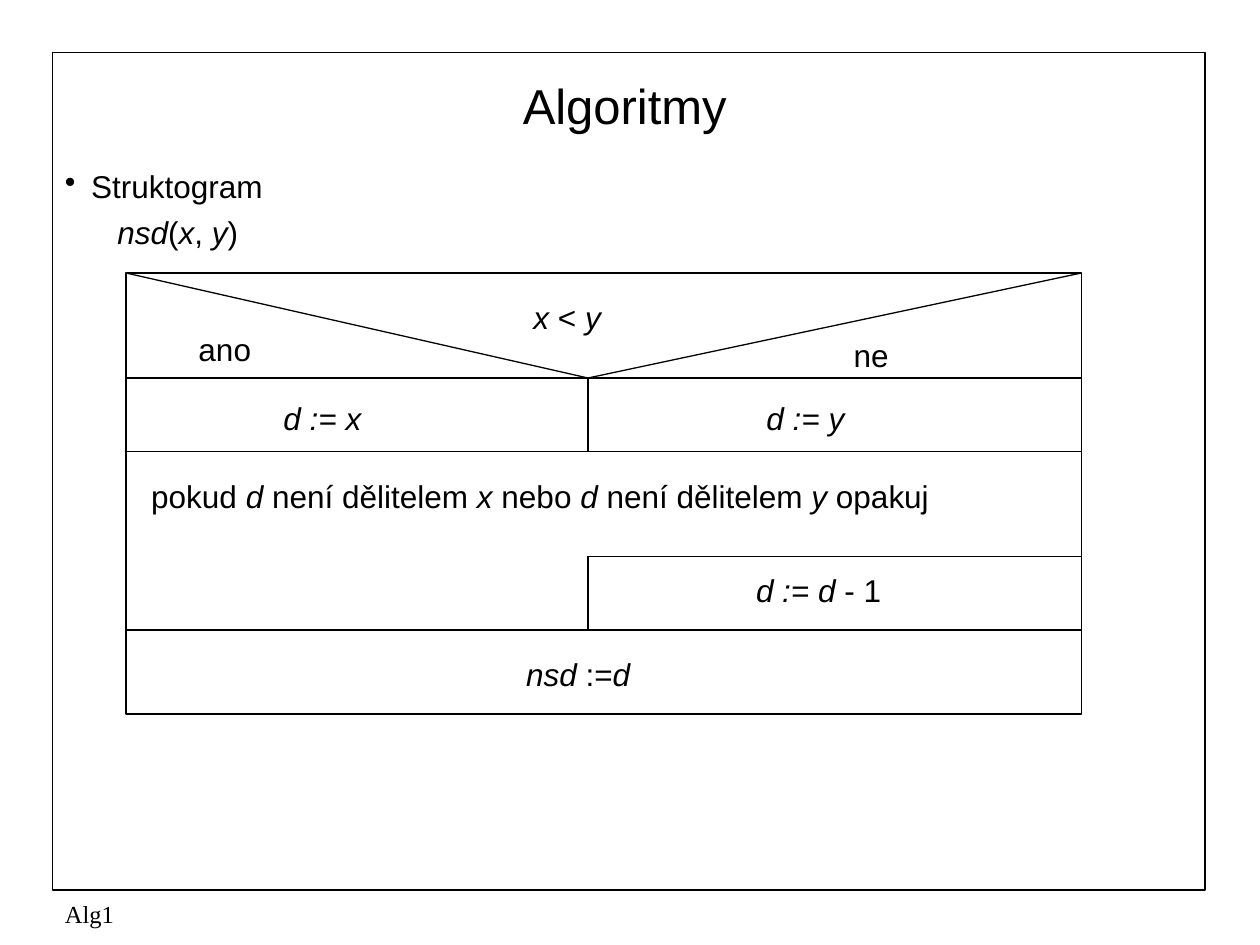
"""Builds the slide with a structogram of the greatest common divisor."""
import pptx
import pptx.dml.color
import pptx.enum.shapes
import pptx.enum.text
import pptx.oxml
import pptx.oxml.ns
import pptx.util

PX = 7620
ANCHOR = pptx.enum.text.MSO_ANCHOR
THEME = {
    "ink": pptx.dml.color.RGBColor(0, 0, 0),
    "font": "Arial", "footer_font": "Times New Roman",
    "title": 28, "body": 18, "footer": 14,
    "border": 1, "line": 0.75,
}

SLIDE = (1200, 900)
BORDER = (50, 50, 1098, 798)
TITLE = ("Algoritmy", (60, 60, 1070, 80))
BODY = (50, 150, 1100, 700)
BULLETS = [
    ("Struktogram", 25, -25),
    ("*nsd*(*x*, *y*)", 50, 0),
]
FOOTER = ("Alg1", (50, 850, 380, 40))

LEFT, MID, RIGHT = 120, 560, 1030
TOP, BRANCH, LOOP, STEP, RESULT, BOTTOM = 260, 360, 430, 530, 600, 680
LINES = [
    (LEFT, BRANCH, RIGHT, BRANCH),
    (LEFT, LOOP, RIGHT, LOOP),
    (LEFT, RESULT, RIGHT, RESULT),
    (MID, BRANCH, MID, LOOP),
    (MID, STEP, MID, RESULT),
    (MID, STEP, RIGHT, STEP),
    (LEFT, TOP, MID, BRANCH),
    (MID, BRANCH, RIGHT, TOP),
]
LABEL_HEIGHT = 36
LABELS = [
    ("*x *< *y*", 492, 284, 133),
    ("ano", 173, 314, 119),
    ("ne", 797, 320, 102),
    ("*d := x*", 254, 380, 151),
    ("*d := y*", 714, 380, 151),
    ("pokud *d *není dělitelem *x *nebo *d *není dělitelem *y *opakuj", 128, 454, 817),
    ("*d := d *- 1", 704, 544, 196),
    ("*nsd *:=*d*", 485, 624, 185),
]


def emu(*values):
    return [v * PX for v in values]


def write(p, marked, size="body", font="font"):
    for i, part in enumerate(marked.split("*")):
        if part:
            r = p.add_run()
            r.text = part
            r.font.name = THEME[font]
            r.font.size = pptx.util.Pt(THEME[size])
            r.font.italic = i % 2 == 1
            r.font.color.rgb = THEME["ink"]


def text_box(s, box, margins=(12, 6, 12, 6), anchor=ANCHOR.TOP):
    tf = s.shapes.add_textbox(*emu(*box)).text_frame
    tf.word_wrap = True
    tf.vertical_anchor = anchor
    tf.margin_left, tf.margin_top, tf.margin_right, tf.margin_bottom = emu(*margins)
    return tf


def frame(s, box, width):
    sp = s.shapes.add_shape(pptx.enum.shapes.MSO_SHAPE.RECTANGLE, *emu(*box))
    sp.shadow.inherit = False
    sp.fill.background()
    sp.line.color.rgb = THEME["ink"]
    sp.line.width = pptx.util.Pt(THEME[width])


def divider(s, ends):
    c = s.shapes.add_connector(pptx.enum.shapes.MSO_CONNECTOR.STRAIGHT, *emu(*ends))
    c.line.color.rgb = THEME["ink"]
    c.line.width = pptx.util.Pt(THEME["line"])
    c._element.spPr.append(pptx.oxml.parse_xml(
        "<a:effectLst %s/>" % pptx.oxml.ns.nsdecls("a")))


def bullet_list(s):
    tf = text_box(s, BODY, (12, 9, 12, 6))
    for i, (marked, margin, indent) in enumerate(BULLETS):
        p = tf.add_paragraph() if i else tf.paragraphs[0]
        if i:
            p.space_before = pptx.util.Pt(4.5)
        pPr = p._p.get_or_add_pPr()
        pPr.set("marL", str(margin * PX))
        pPr.set("indent", str(indent * PX))
        if indent:
            pPr.append(pptx.oxml.parse_xml(
                '<a:buChar %s char="•"/>' % pptx.oxml.ns.nsdecls("a")))
        write(p, marked)


def main():
    prs = pptx.Presentation()
    prs.slide_width, prs.slide_height = emu(*SLIDE)
    s = prs.slides.add_slide(prs.slide_layouts[6])
    frame(s, BORDER, "border")
    title, box = TITLE
    p = text_box(s, box, anchor=ANCHOR.MIDDLE).paragraphs[0]
    p.alignment = pptx.enum.text.PP_ALIGN.CENTER
    write(p, title, "title")
    bullet_list(s)
    frame(s, (LEFT, TOP, RIGHT - LEFT, BOTTOM - TOP), "line")
    for ends in LINES:
        divider(s, ends)
    for marked, x, y, width in LABELS:
        tf = text_box(s, (x, y, width, LABEL_HEIGHT), (16, 0, 2, 0), ANCHOR.BOTTOM)
        write(tf.paragraphs[0], marked)
    footer, box = FOOTER
    tf = text_box(s, box, anchor=ANCHOR.MIDDLE)
    write(tf.paragraphs[0], footer, "footer", "footer_font")
    prs.save("out.pptx")


if __name__ == "__main__":
    main()
